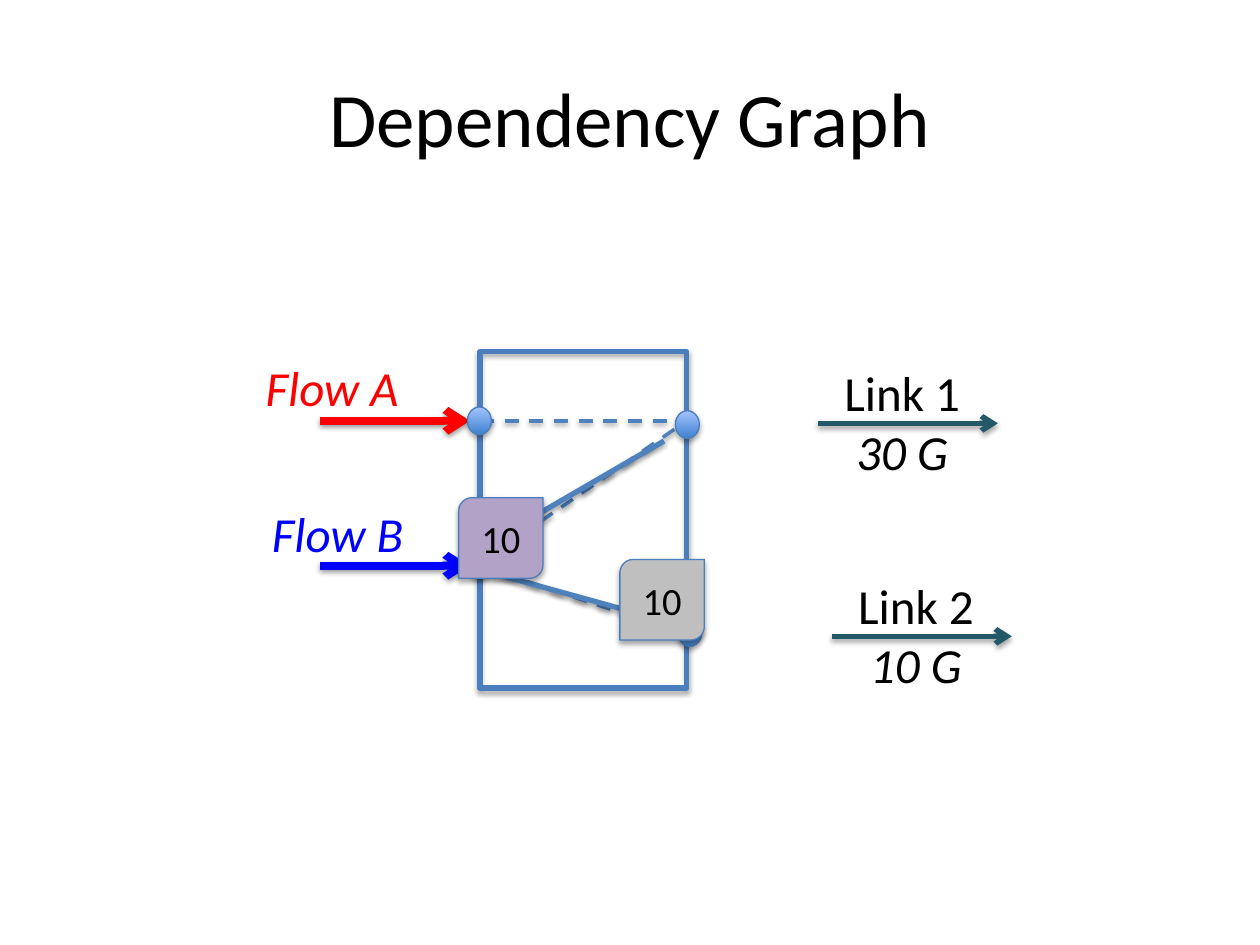
from lxml import etree
from pptx import Presentation
from pptx.dml.color import RGBColor
from pptx.enum.dml import MSO_LINE
from pptx.enum.shapes import MSO_CONNECTOR, MSO_SHAPE
from pptx.enum.text import MSO_ANCHOR, MSO_AUTO_SIZE, PP_ALIGN
from pptx.oxml.ns import qn
from pptx.util import Inches, Pt

RECT, OVAL = MSO_SHAPE.RECTANGLE, MSO_SHAPE.OVAL
TAG = MSO_SHAPE.ROUND_2_DIAG_RECTANGLE
LINE, DASH = MSO_CONNECTOR.STRAIGHT, MSO_LINE.DASH
LEFT, MID = PP_ALIGN.LEFT, PP_ALIGN.CENTER
TOP, CENTER = MSO_ANCHOR.TOP, MSO_ANCHOR.MIDDLE
GROW, FIXED = MSO_AUTO_SIZE.SHAPE_TO_FIT_TEXT, MSO_AUTO_SIZE.NONE

BLACK = RGBColor(0x00, 0x00, 0x00)
RED = RGBColor(0xFF, 0x00, 0x00)
BLUE = RGBColor(0x00, 0x00, 0xFF)
STEEL = RGBColor(0x4F, 0x81, 0xBD)
EDGE = RGBColor(0x4B, 0x7E, 0xBC)
DEEP = RGBColor(0x3F, 0x80, 0xCE)
PALE = RGBColor(0xA4, 0xC4, 0xFF)
TEAL = RGBColor(0x21, 0x59, 0x68)
MAUVE = RGBColor(0xB3, 0xA2, 0xC7)
GRAY = RGBColor(0xBF, 0xBF, 0xBF)


def apply(item, values):
    for name, value in values.items():
        setattr(item, name, value)


class Canvas:
    font = "Calibri"

    def __init__(self, slide):
        self.slide = slide
        self.shapes = slide.shapes

    def shade(self, shape, alpha, dist):
        props = shape.element.spPr
        for old in props.findall(qn("a:effectLst")):
            props.remove(old)
        effects = etree.SubElement(props, qn("a:effectLst"))
        outer = etree.SubElement(
            effects, qn("a:outerShdw"), blurRad=str(Pt(3.1)),
            dist=str(Pt(dist)), dir="5400000", rotWithShape="0")
        color = etree.SubElement(outer, qn("a:srgbClr"), val=str(BLACK))
        etree.SubElement(color, qn("a:alpha"), val=str(alpha * 1000))

    def label(self, frame, lines, size, color=BLACK, align=MID,
              anchor=TOP, wrap=True, fit=FIXED):
        apply(frame, {"word_wrap": wrap, "auto_size": fit,
                      "vertical_anchor": anchor})
        for i, (words, slant) in enumerate(lines):
            para = frame.add_paragraph() if i else frame.paragraphs[0]
            para.alignment = align
            run = para.add_run()
            run.text = words
            apply(run.font, {"name": self.font, "size": Pt(size),
                             "italic": slant})
            run.font.color.rgb = color

    def text(self, box, lines, size, **look):
        shape = self.shapes.add_textbox(*map(Inches, box))
        self.label(shape.text_frame, lines, size, **look)

    def shape(self, kind, box, fill=None, width=0.75):
        shape = self.shapes.add_shape(kind, *map(Inches, box))
        shape.shadow.inherit = False
        if fill is None:
            shape.fill.background()
        else:
            shape.fill.solid()
            shape.fill.fore_color.rgb = fill
        shape.line.color.rgb = EDGE
        shape.line.width = Pt(width)
        self.shade(shape, 35, 1.8)
        return shape

    def dot(self, left, top):
        shape = self.shape(OVAL, (left, top, 0.19, 0.22))
        shape.fill.gradient()
        shape.fill.gradient_angle = 90
        for stop, color in zip(shape.fill.gradient_stops, (DEEP, PALE)):
            stop.color.rgb = color

    def tag(self, left, top, fill, words):
        shape = self.shape(TAG, (left, top, 0.67, 0.64), fill)
        self.label(shape.text_frame, [(words, False)], 22, anchor=CENTER)

    def line(self, start, end, color=STEEL, width=3, dash=None,
             head=False, alpha=38, dist=1.6):
        line = self.shapes.add_connector(LINE, *map(Inches, start + end))
        line.line.color.rgb = color
        apply(line.line, {"width": Pt(width), "dash_style": dash})
        if head:
            etree.SubElement(line.get_or_add_ln(), qn("a:tailEnd"),
                             type="arrow")
        self.shade(line, alpha, dist)

    def link(self, left, top, name, rate):
        self.text((left, top, 2.72, 1.04), [(name, False), (rate, True)],
                  28, fit=GROW)
        y = top + 0.53
        self.line((left + 0.69, y), (left + 2.12, y), TEAL, head=True,
                  alpha=35, dist=1.8)


def main():
    deck = Presentation()
    apply(deck, {"slide_width": Inches(10), "slide_height": Inches(7.5)})
    art = Canvas(deck.slides.add_slide(deck.slide_layouts[6]))

    for color, y in ((RED, 3.34), (BLUE, 4.49)):
        art.line((2.54, y), (3.73, y), color, 4.5, head=True)
    for start, end in (((3.81, 3.34), (5.45, 3.34)),
                       ((3.81, 4.47), (5.45, 3.34)),
                       ((3.81, 4.49), (5.43, 5.03))):
        art.line(start, end, width=2, dash=DASH)

    art.shape(RECT, (3.81, 2.79, 1.64, 2.67), width=3)
    for spot in ((3.71, 3.23), (3.71, 4.36), (5.38, 4.91), (5.36, 3.26)):
        art.dot(*spot)

    art.link(5.8, 2.83, "Link 1", "30 G")
    art.link(5.91, 4.52, "Link 2", "10 G")
    for name, color, box in (("Flow B", BLUE, (2.06, 3.95, 1.28, 0.57)),
                             ("Flow A", RED, (2.01, 2.79, 1.37, 0.57))):
        art.text(box, [(name, True)], 28, color=color, align=LEFT,
                 wrap=False, fit=GROW)

    art.line((3.84, 4.33), (5.27, 3.5))
    art.line((3.84, 4.53), (5.47, 4.98))
    art.text((0.5, 0.3, 9, 1.25), [("Dependency Graph", False)], 44,
             anchor=CENTER)
    art.tag(3.64, 3.95, MAUVE, "10")
    art.tag(4.92, 4.44, GRAY, "10")
    deck.save("out.pptx")


if __name__ == "__main__":
    main()
